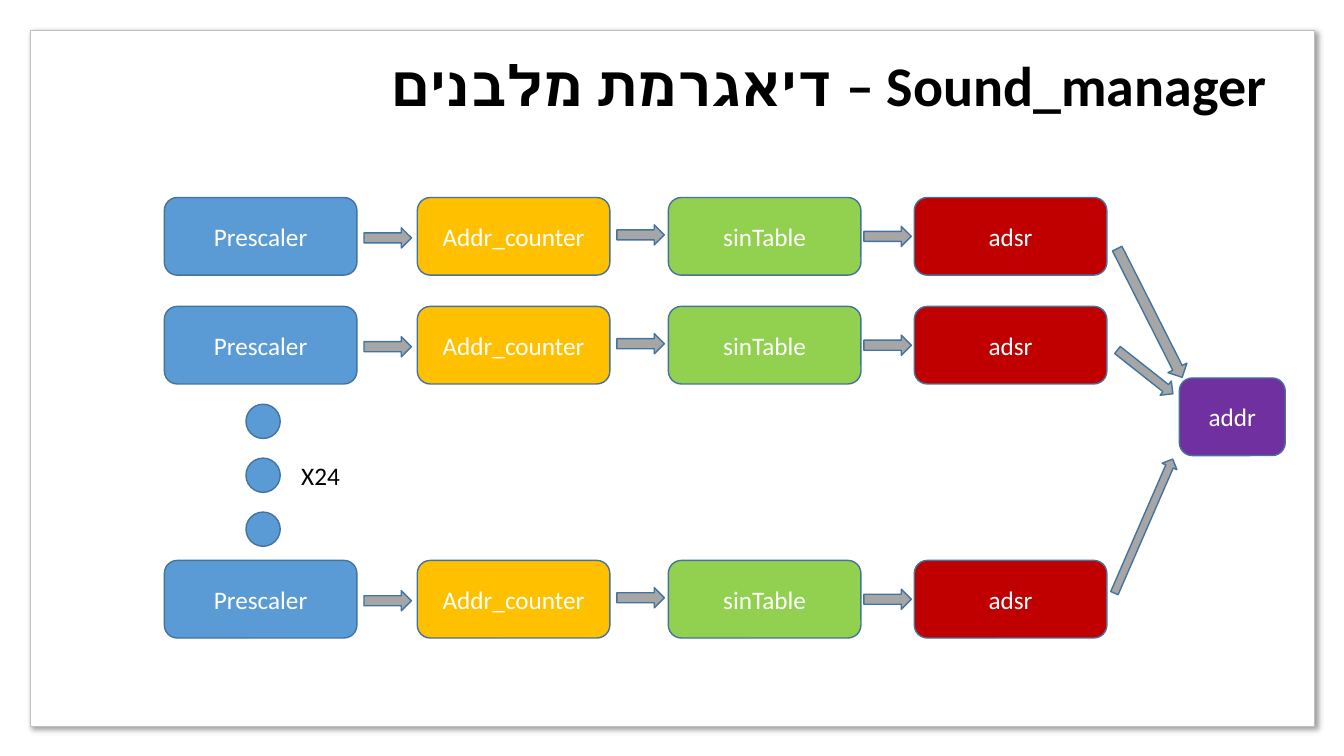
from dataclasses import dataclass

from lxml import etree
from pptx import Presentation
from pptx import util as u
from pptx.dml.color import RGBColor
from pptx.enum import shapes, text
from pptx.oxml import ns, parse_xml

FONT = "Calibri"
COLORS = {
    "white": "FFFFFF", "black": "000000", "frame": "BFBFBF", "outline": "43739E",
    "blue": "5B9BD5", "amber": "FFC000", "green": "92D050", "red": "C00000",
    "purple": "7030A0", "gray": "A6A6A6",
}
SLIDE_WIDTH, SLIDE_HEIGHT = u.Inches(13.33), u.Inches(7.5)
KINDS = shapes.MSO_SHAPE


@dataclass(frozen=True)
class Area:
    """A rectangle in percent of the slide's width and height."""
    left: float
    top: float
    width: float
    height: float

    def lengths(self) -> tuple:
        return (round(SLIDE_WIDTH * self.left / 100), round(SLIDE_HEIGHT * self.top / 100),
                round(SLIDE_WIDTH * self.width / 100), round(SLIDE_HEIGHT * self.height / 100))


@dataclass(frozen=True)
class Stage:
    name: str
    color: str
    left: float


@dataclass(frozen=True)
class Arrow:
    area: Area
    angle: float = 0


BLOCK_WIDTH, BLOCK_HEIGHT = 14.33, 10.27
STAGES = [
    Stage("Prescaler", "blue", 12.23),
    Stage("Addr_counter", "amber", 31.05),
    Stage("sinTable", "green", 49.73),
    Stage("adsr", "red", 68.03),
]
CHANNEL_TOPS = [26.13, 40.53, 74.13]
# Left edge and drop below the channel's top
STAGE_ARROWS = [(27.08, 4), (45.9, 3.6), (64.28, 3.8)]
ADDER_ARROWS = [
    Arrow(Area(80.18, 40, 10.73, 2.8), 63.2),
    Arrow(Area(82.58, 48, 5.25, 2.4), 38.3),
    Arrow(Area(79.65, 68.53, 10.88, 2.13), 293.5),
]
DOT_TOP, DOT_PITCH = 53.47, 7.13


def rgb(name: str) -> RGBColor:
    return RGBColor.from_string(COLORS[name])


def write(shape, content: str, size: float, color: str, align, bold: bool = False) -> None:
    """Fill a shape with one right-to-left paragraph."""
    frame = shape.text_frame
    frame.word_wrap = True
    frame.vertical_anchor = text.MSO_ANCHOR.MIDDLE
    para = frame.paragraphs[0]
    para.text = content
    para.alignment = align
    para._p.get_or_add_pPr().set("rtl", "1")
    for span in para.runs:
        span.font.name = FONT
        span.font.size = u.Pt(size)
        span.font.bold = bold
        span.font.color.rgb = rgb(color)
        script_font = etree.SubElement(span._r.get_or_add_rPr(), ns.qn("a:cs"))
        script_font.set("typeface", FONT)


def add_shape(page, kind, area: Area, fill: str, line: str = "outline"):
    shape = page.shapes.add_shape(kind, *area.lengths())
    shape.shadow.inherit = False
    shape.fill.solid()
    shape.fill.fore_color.rgb = rgb(fill)
    shape.line.color.rgb = rgb(line)
    shape.line.width = u.Pt(1)
    return shape


def add_block(page, name: str, color: str, area: Area) -> None:
    block = add_shape(page, KINDS.ROUNDED_RECTANGLE, area, color)
    write(block, name, 18, "white", text.PP_ALIGN.CENTER)


def add_arrow(page, arrow: Arrow) -> None:
    shape = add_shape(page, KINDS.RIGHT_ARROW, arrow.area, "gray")
    shape.rotation = arrow.angle


def add_frame(page) -> None:
    """Put the shadowed border behind the title."""
    frame = add_shape(page, KINDS.RECTANGLE, Area(2.25, 4, 95.55, 92.13), "white", "frame")
    effects = frame._element.spPr.find(ns.qn("a:effectLst"))
    effects.append(parse_xml(
        f'<a:outerShdw {ns.nsdecls("a")} blurRad="{u.Pt(4)}" dist="{u.Pt(3)}" '
        f'dir="2700000" algn="tl" rotWithShape="0"><a:srgbClr val="{COLORS["black"]}">'
        '<a:alpha val="40000"/></a:srgbClr></a:outerShdw>'))
    page.shapes.title._element.addprevious(frame._element)


def add_title(page) -> None:
    title = page.shapes.title
    title.left, title.top, title.width, title.height = Area(2.48, 6, 92.48, 10.27).lengths()
    write(title, "Sound_manager – דיאגרמת מלבנים", 40, "black", text.PP_ALIGN.RIGHT, True)


def add_channel(page, top: float) -> None:
    for stage in STAGES:
        add_block(page, stage.name, stage.color,
                  Area(stage.left, top, BLOCK_WIDTH, BLOCK_HEIGHT))
    for left, drop in STAGE_ARROWS:
        add_arrow(page, Arrow(Area(left, top + drop, 3.53, 2.67)))


def add_repeat_mark(page) -> None:
    """Draw the dots and the count that stand for the other channels."""
    for index in range(3):
        add_shape(page, KINDS.OVAL,
                  Area(18.3, DOT_TOP + index * DOT_PITCH, 2.55, 4.53), "blue")
    label = page.shapes.add_textbox(*Area(21.68, 60.27, 15.3, 5.33).lengths())
    write(label, "X24", 18, "black", text.PP_ALIGN.LEFT)


def main() -> None:
    deck = Presentation()
    deck.slide_width, deck.slide_height = SLIDE_WIDTH, SLIDE_HEIGHT
    page = deck.slides.add_slide(deck.slide_layouts.get_by_name("Title Only"))
    add_frame(page)
    add_title(page)
    for top in CHANNEL_TOPS:
        add_channel(page, top)
    add_block(page, "addr", "purple", Area(87.75, 50, 7.88, BLOCK_HEIGHT))
    for arrow in ADDER_ARROWS:
        add_arrow(page, arrow)
    add_repeat_mark(page)
    deck.save("out.pptx")


if __name__ == "__main__":
    main()
